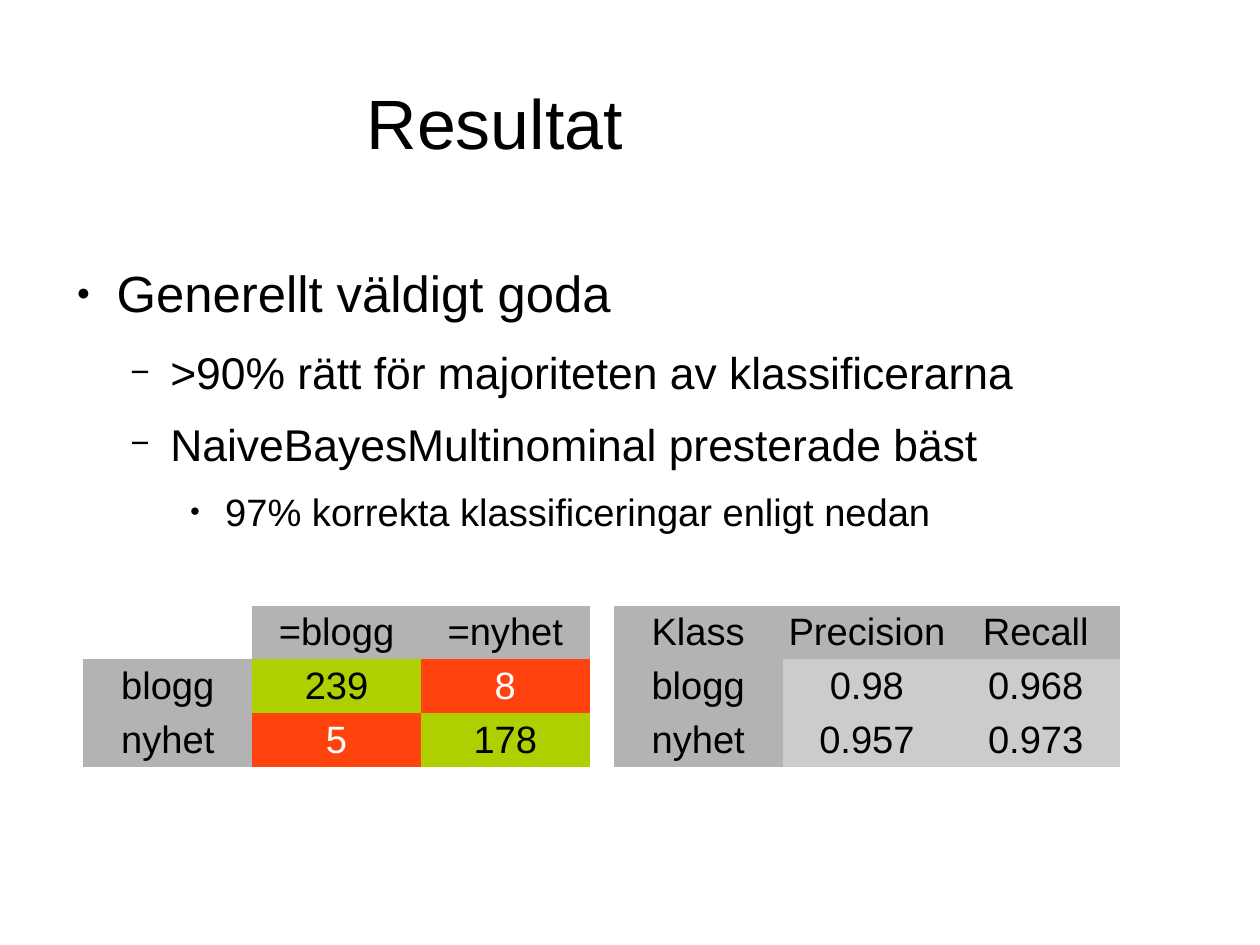
import pptx
import pptx.util
import pptx.dml.color
import pptx.enum.text
import lxml.etree

Inches, Pt = pptx.util.Inches, pptx.util.Pt
ALIGN, ANCHOR = pptx.enum.text.PP_ALIGN, pptx.enum.text.MSO_ANCHOR
FONT = "Arial"
CM_PER_INCH = 2.54
BLACK, WHITE = "000000", "FFFFFF"
HEADER, SCORE, CORRECT, WRONG = "B3B3B3", "CCCCCC", "AECF00", "FF420E"

LEVELS = [
    {"size": 32, "after": 14.2, "left": 0.47, "hang": 0.35, "bullet": "●", "scale": 45},
    {"size": 28, "after": 11.3, "left": 0.94, "hang": 0.35, "bullet": "−", "scale": 75},
    {"size": 24, "after": 8.5, "left": 1.42, "hang": 0.31, "bullet": "●", "scale": 45},
]
FINDINGS = [
    (0, "Generellt väldigt goda"),
    (1, ">90% rätt för majoriteten av klassificerarna"),
    (1, "NaiveBayesMultinominal presterade bäst"),
    (2, "97% korrekta klassificeringar enligt nedan"),
]
CONFUSION = [["", "=blogg", "=nyhet"], ["blogg", "239", "8"], ["nyhet", "5", "178"]]
SCORES = [["Klass", "Precision", "Recall"], ["blogg", "0.98", "0.968"], ["nyhet", "0.957", "0.973"]]


def rgb(value):
    """Return the colour for a hex string."""
    return pptx.dml.color.RGBColor.from_string(value)


def add_run(paragraph, text, size, color=BLACK):
    """Add one formatted run to a paragraph."""
    run = paragraph.add_run()
    run.text = text
    run.font.name = FONT
    run.font.size = Pt(size)
    run.font.color.rgb = rgb(color)


def place(placeholder, box, anchor):
    """Move a placeholder to its box and clear its insets."""
    placeholder.left, placeholder.top, placeholder.width, placeholder.height = map(Inches, box)
    frame = placeholder.text_frame
    frame.margin_left = frame.margin_top = frame.margin_right = frame.margin_bottom = 0
    frame.vertical_anchor = anchor
    frame.word_wrap = True
    return frame


def set_bullet(paragraph, style):
    """Give a paragraph its hanging indent and bullet."""
    props = paragraph._p.get_or_add_pPr()
    props.set("marL", str(Inches(style["left"])))
    props.set("indent", str(-Inches(style["hang"])))
    namespace = props.nsmap["a"]

    def add(parent, tag, **attributes):
        """Append a drawing element."""
        return lxml.etree.SubElement(parent, f"{{{namespace}}}{tag}", **attributes)

    add(add(props, "buClr"), "srgbClr", val=BLACK)
    add(props, "buSzPct", val=str(style["scale"] * 1000))
    add(props, "buFont", typeface=FONT)
    add(props, "buChar", char=style["bullet"])


def fill_title(title, box):
    """Write the centred slide title."""
    paragraph = place(title, box, ANCHOR.MIDDLE).paragraphs[0]
    paragraph.alignment = ALIGN.CENTER
    add_run(paragraph, "Resultat", 44)


def fill_findings(body, box):
    """Write the bulleted findings."""
    frame = place(body, box, ANCHOR.TOP)
    for index, (level, text) in enumerate(FINDINGS):
        paragraph = frame.add_paragraph() if index else frame.paragraphs[0]
        style = LEVELS[level]
        paragraph.level = level
        paragraph.space_before = Pt(0)
        paragraph.space_after = Pt(style["after"])
        set_bullet(paragraph, style)
        add_run(paragraph, text, style["size"])


def confusion_fill(row, column):
    """Return the fill of a confusion matrix cell."""
    if row == column == 0:
        return None
    if row == 0 or column == 0:
        return HEADER
    return CORRECT if row == column else WRONG


def score_fill(row, column):
    """Return the fill of a score table cell."""
    return SCORE if row and column else HEADER


def add_results(slide, box, values, cell_fill):
    """Add a table of results, coloured by a rule."""
    table = slide.shapes.add_table(len(values), len(values[0]), *map(Inches, box)).table
    table.first_row = table.horz_banding = False
    table._tbl.tblPr[0].text = "{2D5ABB26-0587-4C30-8999-92F81FD0307C}"
    for row, texts in enumerate(values):
        for column, text in enumerate(texts):
            cell = table.cell(row, column)
            cell.margin_left = cell.margin_right = Inches(0.04)
            cell.margin_top = cell.margin_bottom = Inches(0.04)
            cell.vertical_anchor = ANCHOR.MIDDLE
            color = cell_fill(row, column)
            if color is None:
                cell.fill.background()
                continue
            cell.fill.solid()
            cell.fill.fore_color.rgb = rgb(color)
            paragraph = cell.text_frame.paragraphs[0]
            paragraph.alignment = ALIGN.CENTER
            add_run(paragraph, text, 24, WHITE if color == WRONG else BLACK)


def main():
    """Build and save the results slide."""
    deck = pptx.Presentation()
    deck.slide_width = Inches(28 / CM_PER_INCH)
    deck.slide_height = Inches(21 / CM_PER_INCH)
    slide = deck.slides.add_slide(deck.slide_layouts[1])
    fill_title(slide.shapes.title, (0.47, 0.71, 7.72, 0.71))
    fill_findings(slide.placeholders[1], (0.55, 2.29, 9.7, 2.81))
    add_results(slide, (5.37, 5.3, 4.43, 1.41), SCORES, score_fill)
    add_results(slide, (0.73, 5.3, 4.43, 1.41), CONFUSION, confusion_fill)
    deck.save("out.pptx")


if __name__ == "__main__":
    main()
